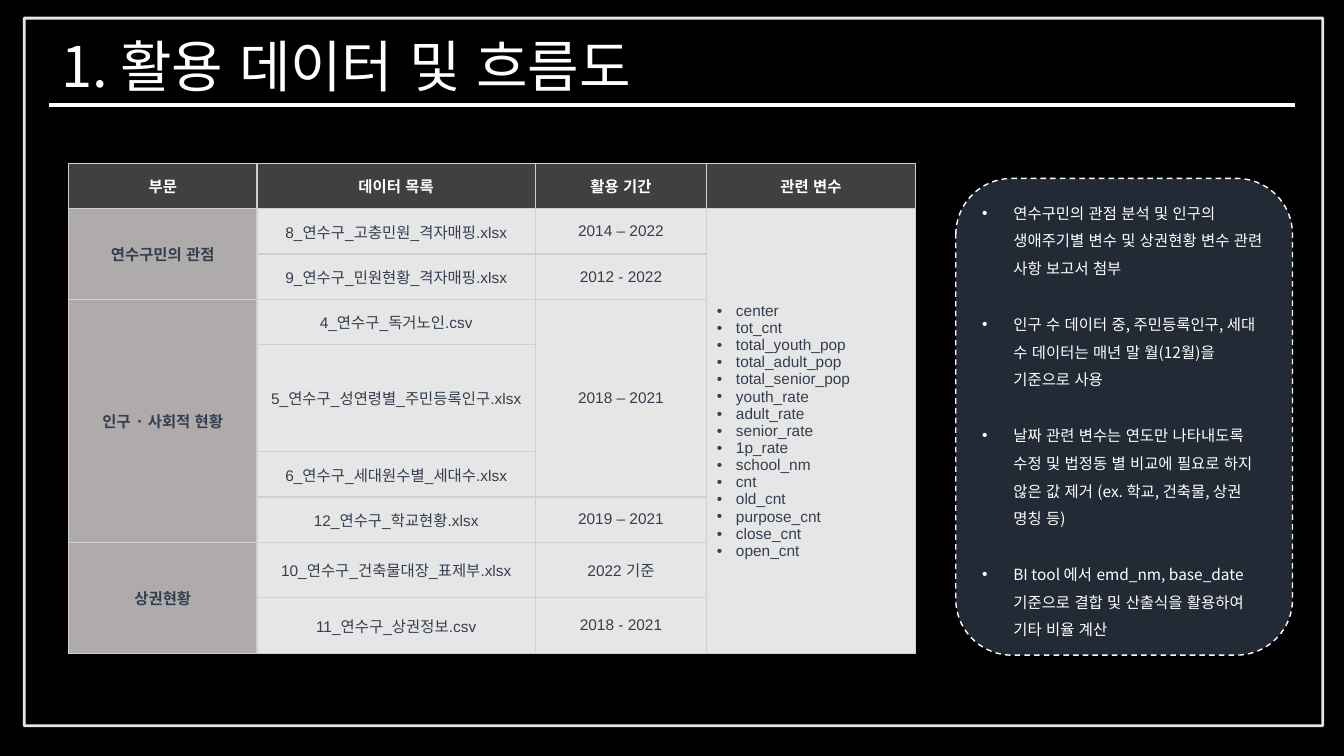
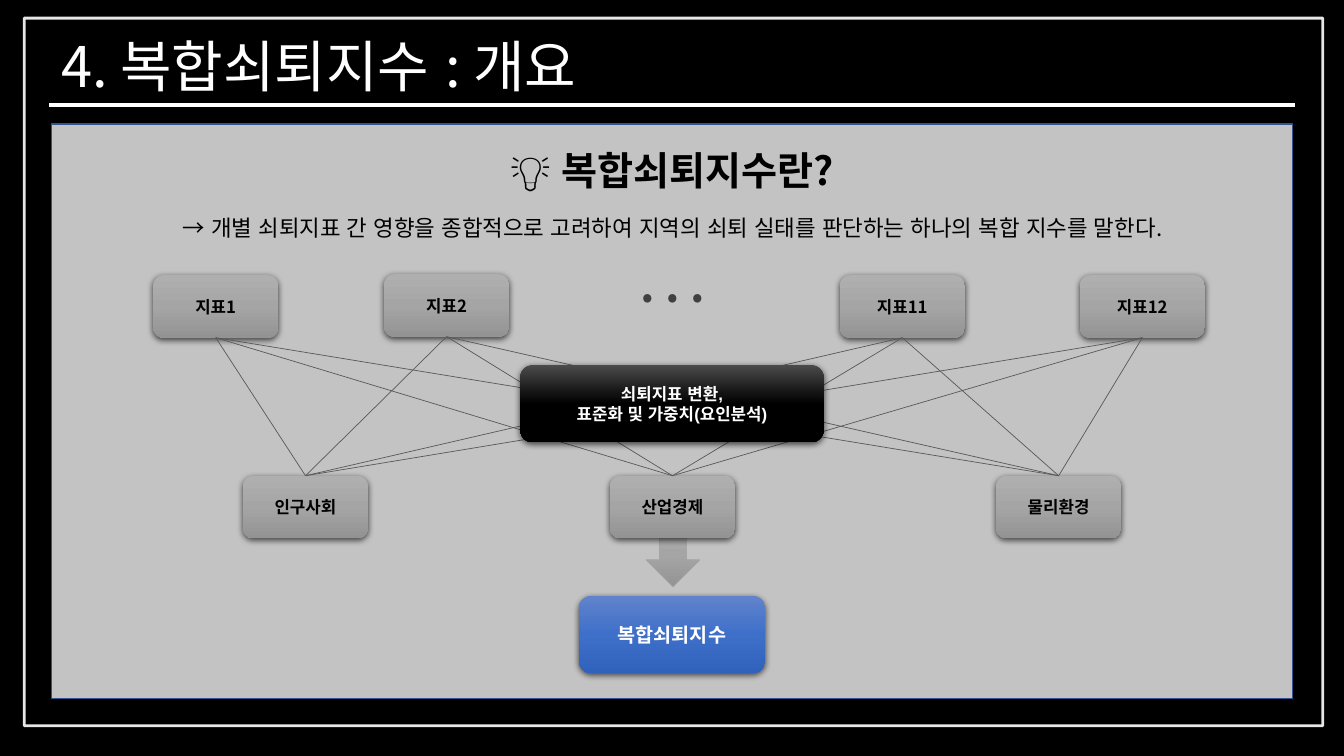
"""Build two slides on the data used and the decline index."""
from itertools import product

from lxml.etree import SubElement
from pptx import Presentation
from pptx.dml.color import RGBColor
from pptx.enum.dml import MSO_LINE
from pptx.enum.lang import MSO_LANGUAGE_ID
from pptx.enum.shapes import MSO_CONNECTOR, MSO_SHAPE
from pptx.enum.text import MSO_ANCHOR, PP_ALIGN
from pptx.oxml.ns import qn
from pptx.util import Inches, Pt

KOREAN, LATIN = "Noto Sans CJK KR", "Arial"
BLACK, WHITE, SLATE = "000000", "FFFFFF", "333F50"
HEAD, SIDE, CELL, EDGE = "404040", "AFABAB", "E7E6E6", "D0CECE"
GREY = ("AFAFAF", "A5A5A5", "939393")
BLUE = ("6183CB", "3E70CA", "3062BB")
DARK = ("4B4B4B", BLACK, BLACK)
SOFT = (63, 4.5, 1.5, 90)
LEFT, WIDE = 0.51, 12.31
BOX_W, BOX_H = 1.24, 0.62

HEADS = ("부문", "데이터 목록", "활용 기간", "관련 변수")
VARS = ("center", "tot_cnt", "total_youth_pop", "total_adult_pop",
        "total_senior_pop", "youth_rate", "adult_rate", "senior_rate",
        "1p_rate", "school_nm", "cnt", "old_cnt", "purpose_cnt",
        "close_cnt", "open_cnt")
ROWS = (
    ("연수구민의 관점", "8_연수구_고충민원_격자매핑.xlsx", "2014 – 2022", VARS),
    (None, "9_연수구_민원현황_격자매핑.xlsx", "2012 - 2022", None),
    ("인구 · 사회적 현황", "4_연수구_독거노인.csv", "2018 – 2021", None),
    (None, "5_연수구_성연령별_주민등록인구.xlsx", None, None),
    (None, "6_연수구_세대원수별_세대수.xlsx", None, None),
    (None, "12_연수구_학교현황.xlsx", "2019 – 2021", None),
    ("상권현황", "10_연수구_건축물대장_표제부.xlsx", "2022 기준", None),
    (None, "11_연수구_상권정보.csv", "2018 - 2021", None),
)
COLS = (1.87, 2.76, 1.7, 2.07)
HIGHS = (0.45, 0.45, 0.45, 0.45, 1.06, 0.45, 0.45, 0.55, 0.55)
NOTES = (
    "연수구민의 관점 분석 및 인구의 생애주기별 변수 및 상권현황 변수 관련 사항 보고서 첨부",
    "인구 수 데이터 중, 주민등록인구, 세대 수 데이터는 매년 말 월(12월)을 기준으로 사용",
    "날짜 관련 변수는 연도만 나타내도록 수정 및 법정동 별 비교에 필요로 하지 않은 값 제거 "
    "(ex. 학교, 건축물, 상권 명칭 등)",
    "BI tool 에서 emd_nm, base_date 기준으로 결합 및 산출식을 활용하여 기타 비율 계산",
)
SIGNS = (("지표1", 1.52, 2.73), ("지표2", 3.81, 2.72),
         ("지표11", 8.33, 2.73), ("지표12", 10.71, 2.73))
FIELDS = (("인구사회", 2.41, 4.72), ("산업경제", 6.05, 4.72),
          ("물리환경", 9.88, 4.72))


def paint(color, tint):
    """Set a colour format from a hex string."""
    color.rgb = RGBColor.from_string(tint)


def fade(part, alpha):
    """Give the solid fill found in an XML part an opacity in percent."""
    tone = part.find(qn("a:solidFill"))[0]
    SubElement(tone, qn("a:alpha"), val=str(alpha * 1000))


def shade(item, alpha, blur, dist, angle):
    """Cast a black outer shadow from a shape or connector."""
    list_ = effects(item)
    cast = SubElement(list_, qn("a:outerShdw"), blurRad=str(Pt(blur)),
                      dist=str(Pt(dist)), dir=str(angle * 60000),
                      algn="t", rotWithShape="0")
    tone = SubElement(cast, qn("a:srgbClr"), val=BLACK)
    SubElement(tone, qn("a:alpha"), val=str(alpha * 1000))


def effects(item):
    """Return an empty effect list that replaces the theme effects."""
    props = item._element.spPr
    found = props.find(qn("a:effectLst"))
    return SubElement(props, qn("a:effectLst")) if found is None else found


def blend(shape, tints):
    """Fill a shape from top to bottom with evenly spaced tints."""
    shape.fill.gradient()
    shape.fill.gradient_angle = 270
    stops = shape._element.spPr.find(".//" + qn("a:gsLst"))
    for old in list(stops):
        stops.remove(old)
    for rank, tint in enumerate(tints):
        place = rank * 100000 // (len(tints) - 1)
        stop = SubElement(stops, qn("a:gs"), pos=str(place))
        SubElement(stop, qn("a:srgbClr"), val=tint)


def write(frame, lines, size, tint, bold=False, font=KOREAN,
          align=PP_ALIGN.CENTER, space=None):
    """Write one paragraph per line and format its runs."""
    frame.word_wrap = True
    for rank, line in enumerate(lines):
        para = frame.add_paragraph() if rank else frame.paragraphs[0]
        para.text = line
        para.alignment = align
        if space:
            para.line_spacing = space
        for run in para.runs:
            run.font.size = Pt(size)
            run.font.bold = bold
            run.font.name = font
            run.font.language_id = MSO_LANGUAGE_ID.KOREAN
            paint(run.font.color, tint)
            SubElement(run.font._element, qn("a:ea"), typeface=KOREAN)


def bullet(frame, hang, gap=0):
    """Hang a round bullet on each paragraph, with a gap between them."""
    for rank, para in enumerate(frame.paragraphs):
        props = para._p.get_or_add_pPr()
        props.set("marL", str(Inches(hang)))
        props.set("indent", str(-Inches(hang)))
        SubElement(props, qn("a:buFont"), typeface=LATIN)
        SubElement(props, qn("a:buChar"), char="•")
        if rank and gap:
            para.space_before = Pt(gap)


def label(slide, text, x, y, w, h, size, tint, **look):
    """Add a text box with one line of text."""
    box = slide.shapes.add_textbox(*map(Inches, (x, y, w, h)))
    write(box.text_frame, [text], size, tint, **look)
    return box


def form(slide, kind, x, y, w, h, fill=None, line=None, thick=1):
    """Add a preset shape with a flat, blended or empty fill."""
    shape = slide.shapes.add_shape(kind, *map(Inches, (x, y, w, h)))
    shape.shadow.inherit = False
    if fill is None:
        shape.fill.background()
    elif isinstance(fill, tuple):
        blend(shape, fill)
    else:
        shape.fill.solid()
        paint(shape.fill.fore_color, fill)
    if line:
        paint(shape.line.color, line)
        shape.line.width = Pt(thick)
    else:
        shape.line.fill.background()
    return shape


def node(slide, lines, x, y, w=BOX_W, h=BOX_H, fill=GREY, tint=BLACK,
         size=12, font=KOREAN):
    """Add a rounded, shaded box with bold text."""
    shape = form(slide, MSO_SHAPE.ROUNDED_RECTANGLE, x, y, w, h, fill)
    shade(shape, *SOFT)
    shape.text_frame.vertical_anchor = MSO_ANCHOR.MIDDLE
    write(shape.text_frame, lines, size, tint, bold=True, font=font)
    return shape


def rule(slide, ends, tint, thick):
    """Add a straight line without the theme shadow."""
    line = slide.shapes.add_connector(MSO_CONNECTOR.STRAIGHT,
                                      *map(Inches, ends))
    paint(line.line.color, tint)
    line.line.width = Pt(thick)
    effects(line)
    return line


def base(deck, title):
    """Add a black slide with the frame, the title and its rule."""
    slide = deck.slides.add_slide(deck.slide_layouts[6])
    slide.background.fill.solid()
    paint(slide.background.fill.fore_color, BLACK)
    frame = form(slide, MSO_SHAPE.RECTANGLE, 0.24, 0.18, 12.88, 7.02,
                 line=WHITE, thick=2)
    fade(frame.line._ln, 90)
    shade(rule(slide, (0.49, 1.04, 12.84, 1.04), WHITE, 3), 40, 4, 3, 45)
    box = label(slide, title, LEFT, 0.35, WIDE, 0.67, 40, WHITE,
                align=PP_ALIGN.LEFT, space=0.9)
    box.text_frame.vertical_anchor = MSO_ANCHOR.MIDDLE
    return slide


def border(cell):
    """Draw a thin line on all four sides of a cell."""
    props = cell._tc.get_or_add_tcPr()
    for rank, side in enumerate(("lnL", "lnR", "lnT", "lnB")):
        line = SubElement(props, qn("a:" + side), w=str(Pt(1)))
        fill = SubElement(line, qn("a:solidFill"))
        SubElement(fill, qn("a:srgbClr"), val=EDGE)
        props.insert(rank, line)


def dress(cell, fill):
    """Set the fill, insets, anchor and border of a cell."""
    cell.fill.solid()
    paint(cell.fill.fore_color, fill)
    cell.margin_left = cell.margin_right = Inches(0.1)
    cell.margin_top = cell.margin_bottom = Inches(0.1)
    cell.vertical_anchor = MSO_ANCHOR.MIDDLE
    border(cell)


def enter(cell, value, top, side):
    """Write a cell: a heading, a side label, a list or plain text."""
    if isinstance(value, tuple):
        write(cell.text_frame, value, 11, SLATE, font=LATIN,
              align=PP_ALIGN.LEFT)
        bullet(cell.text_frame, 0.19)
    else:
        write(cell.text_frame, [value], 11, WHITE if top else SLATE,
              bold=top or side, font=KOREAN if side and not top else LATIN)


def grid(slide, x, y):
    """Add the data table; an empty entry joins the cell above it."""
    data = (HEADS,) + ROWS
    table = slide.shapes.add_table(
        len(data), len(COLS), Inches(x), Inches(y),
        Inches(sum(COLS)), Inches(sum(HIGHS))).table
    table.horz_banding = table.first_row = False
    for col, wide in zip(table.columns, COLS):
        col.width = Inches(wide)
    for row, high in zip(table.rows, HIGHS):
        row.height = Inches(high)
    for c in range(len(COLS)):
        starts = [r for r, row in enumerate(data) if row[c]]
        for r in range(len(data)):
            dress(table.cell(r, c), HEAD if r == 0 else CELL if c else SIDE)
        for r, end in zip(starts, starts[1:] + [len(data)]):
            if end - r > 1:
                table.cell(r, c).merge(table.cell(end - 1, c))
            enter(table.cell(r, c), data[r][c], r == 0, c == 0)


def sources(deck):
    """Build the slide with the data table and notes."""
    slide = base(deck, "1. 활용 데이터 및 흐름도")
    grid(slide, 0.68, 1.62)
    card = form(slide, MSO_SHAPE.ROUNDED_RECTANGLE, 9.48, 1.77, 3.34, 4.73,
                "222A35", WHITE)
    card.line.dash_style = MSO_LINE.DASH
    card.text_frame.vertical_anchor = MSO_ANCHOR.MIDDLE
    write(card.text_frame, NOTES, 11, WHITE, align=PP_ALIGN.LEFT, space=1.5)
    bullet(card.text_frame, 0.31, 20)


def index(deck):
    """Build the slide that explains the index."""
    slide = base(deck, "4. 복합쇠퇴지수 : 개요")
    panel = form(slide, MSO_SHAPE.RECTANGLE, LEFT, 1.23, WIDE, 5.7,
                 "D9D9D9", "325491")
    fade(panel._element.spPr, 90)
    form(slide, MSO_SHAPE.DOWN_ARROW, 6.41, 5.2, 0.53, 0.62, GREY,
         GREY[1], 0.5)
    label(slide, "💡 복합쇠퇴지수란?", 2.54, 1.46, 8.25, 0.74, 28, BLACK,
          bold=True, space=0.9)
    label(slide, "→ 개별 쇠퇴지표 간 영향을 종합적으로 고려하여 지역의 쇠퇴 실태를 "
          "판단하는 하나의 복합 지수를 말한다.", 1.68, 2.11, 9.98, 0.48, 16,
          BLACK, space=0.9)
    label(slide, ". . .", 4.95, 2.51, 3.45, 0.64, 32, HEAD, bold=True)
    node(slide, ["복합쇠퇴지수"], 5.74, 5.91, 1.85, 0.77, BLUE, WHITE, 14)
    signs, fields = ([node(slide, [text], x, y) for text, x, y in group]
                     for group in (SIGNS, FIELDS))
    for sign, field in product(signs, fields):
        link = rule(slide, (0, 0, 0, 0), "595959", 0.5)
        link.begin_connect(sign, 2)
        link.end_connect(field, 0)
    node(slide, ["쇠퇴지표 변환,", "표준화 및 가중치(요인분석)"],
         5.16, 3.62, 3.01, 0.77, DARK, WHITE, font=LATIN)


def main():
    """Build and save the deck."""
    deck = Presentation()
    deck.slide_width, deck.slide_height = Inches(13.33), Inches(7.5)
    sources(deck)
    index(deck)
    deck.save("out.pptx")


if __name__ == "__main__":
    main()
